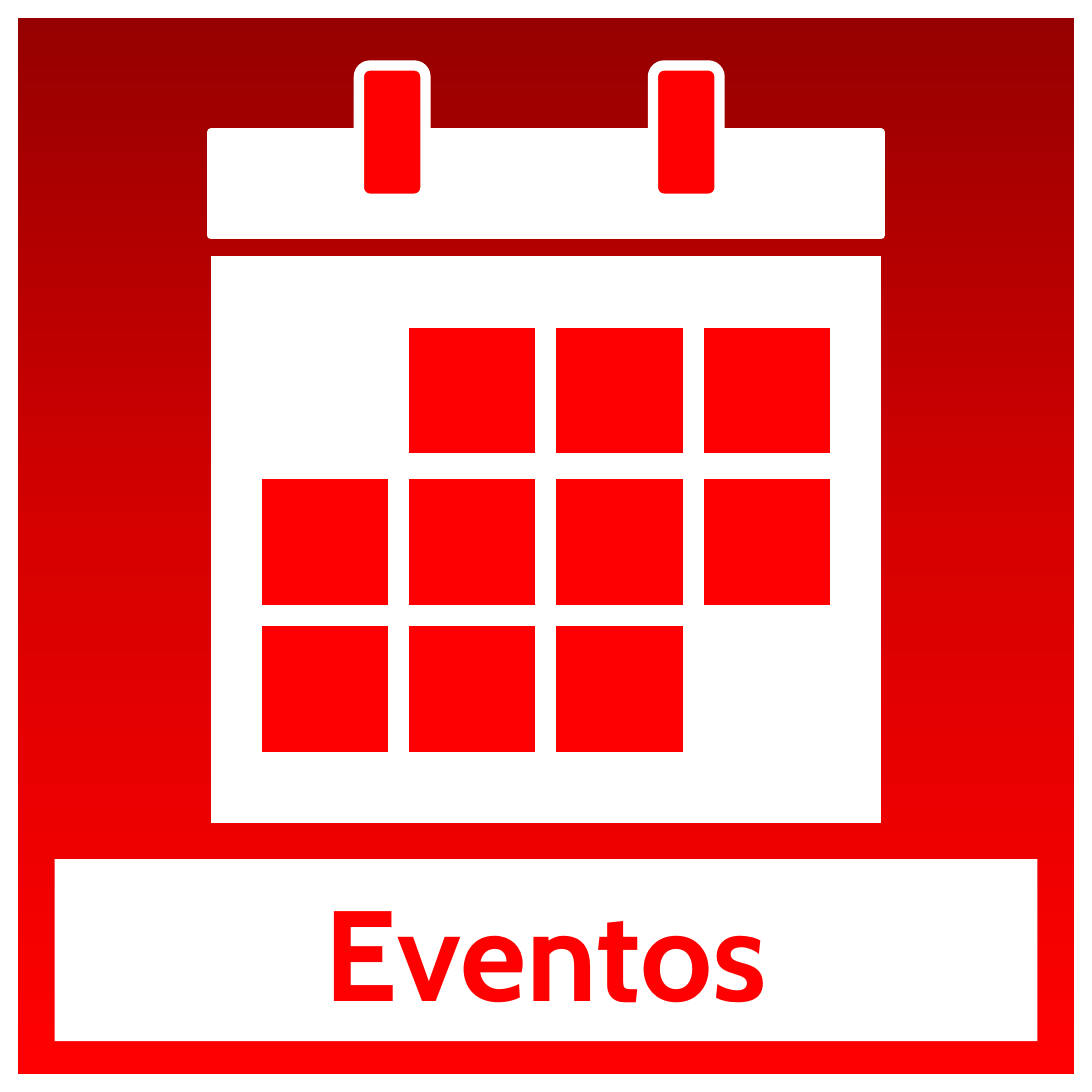
import copy

import pptx
import pptx.dml.color
import pptx.enum.shapes
import pptx.enum.text
import pptx.util

Cm = pptx.util.Cm
Pt = pptx.util.Pt
KIND = pptx.enum.shapes.MSO_SHAPE
COLORS = {"dark": "970000", "mid": "D70000", "red": "FF0000", "white": "FFFFFF"}

# Days shown in each week: top edge, first column, last column
WEEKS = [(8.9, 1, 3), (13.06, 0, 3), (17.1, 0, 2)]


def color(name):
    return pptx.dml.color.RGBColor.from_string(COLORS[name])


def paint(shape, name):
    shape.fill.solid()
    shape.fill.fore_color.rgb = color(name)


def add_box(slide, left, top, width, height, fill="white", line=0,
            kind=KIND.RECTANGLE, adj=None):
    box = slide.shapes.add_shape(kind, Cm(left), Cm(top), Cm(width), Cm(height))
    box.shadow.inherit = False
    paint(box, fill)
    if line:
        box.line.color.rgb = color("white")
        box.line.width = Pt(line)
    else:
        box.line.fill.background()
    if adj is not None:
        box.adjustments[0] = adj
    return box


def blend(shape, names):
    """Fill from top to bottom with evenly spaced colours."""
    shape.fill.gradient()
    shape.fill.gradient_angle = 270
    first = shape.fill.gradient_stops[0]._gs
    stops = first.getparent()
    while len(stops) < len(names):
        stops.append(copy.deepcopy(first))
    for i, (stop, name) in enumerate(zip(shape.fill.gradient_stops, names)):
        stop.color.rgb = color(name)
        stop.position = i / (len(names) - 1)


def set_text(shape, text, size=18, font="Cabin", fill="red", bold=False):
    frame = shape.text_frame
    frame.text = text
    frame.word_wrap = True
    frame.auto_size = pptx.enum.text.MSO_AUTO_SIZE.NONE
    frame.vertical_anchor = pptx.enum.text.MSO_ANCHOR.MIDDLE
    para = frame.paragraphs[0]
    para.alignment = pptx.enum.text.PP_ALIGN.CENTER
    run = para.runs[0].font
    run.name, run.size, run.bold = font, Pt(size), bold
    run.color.rgb = color(fill)


def add_title(slide, text):
    title = slide.shapes.title
    title.left, title.top = Cm(1.5), Cm(23.6)
    title.width, title.height = Cm(27), Cm(5)
    paint(title, "white")
    set_text(title, text, size=100, bold=True)
    # Bring the title in front of the frame
    slide.shapes._spTree.append(title._element)


def add_days(slide):
    for top, first, last in WEEKS:
        for col in range(first, last + 1):
            add_box(slide, 7.08 + 4.05 * col, top, 3.68, 3.66, fill="red", line=6)


def main():
    deck = pptx.Presentation()
    deck.slide_width = deck.slide_height = Cm(30)
    slide = deck.slides.add_slide(deck.slide_layouts[5])
    rounded = KIND.ROUNDED_RECTANGLE

    # Frame and caption
    frame = add_box(slide, 0.5, 0.5, 29, 29, kind=rounded, adj=0)
    blend(frame, ["dark", "mid", "red"])
    add_title(slide, "Eventos")

    # Calendar page
    add_box(slide, 5.8, 7.04, 18.4, 15.57, kind=rounded, adj=0)
    add_days(slide)

    # Calendar header and rings
    add_box(slide, 5.8, 3.63, 18.4, 2.84, line=6, kind=rounded, adj=0)
    for left in (9.86, 17.94):
        add_box(slide, left, 1.8, 1.83, 3.66, fill="red", line=8, kind=rounded)

    deck.save("out.pptx")


if __name__ == "__main__":
    main()
